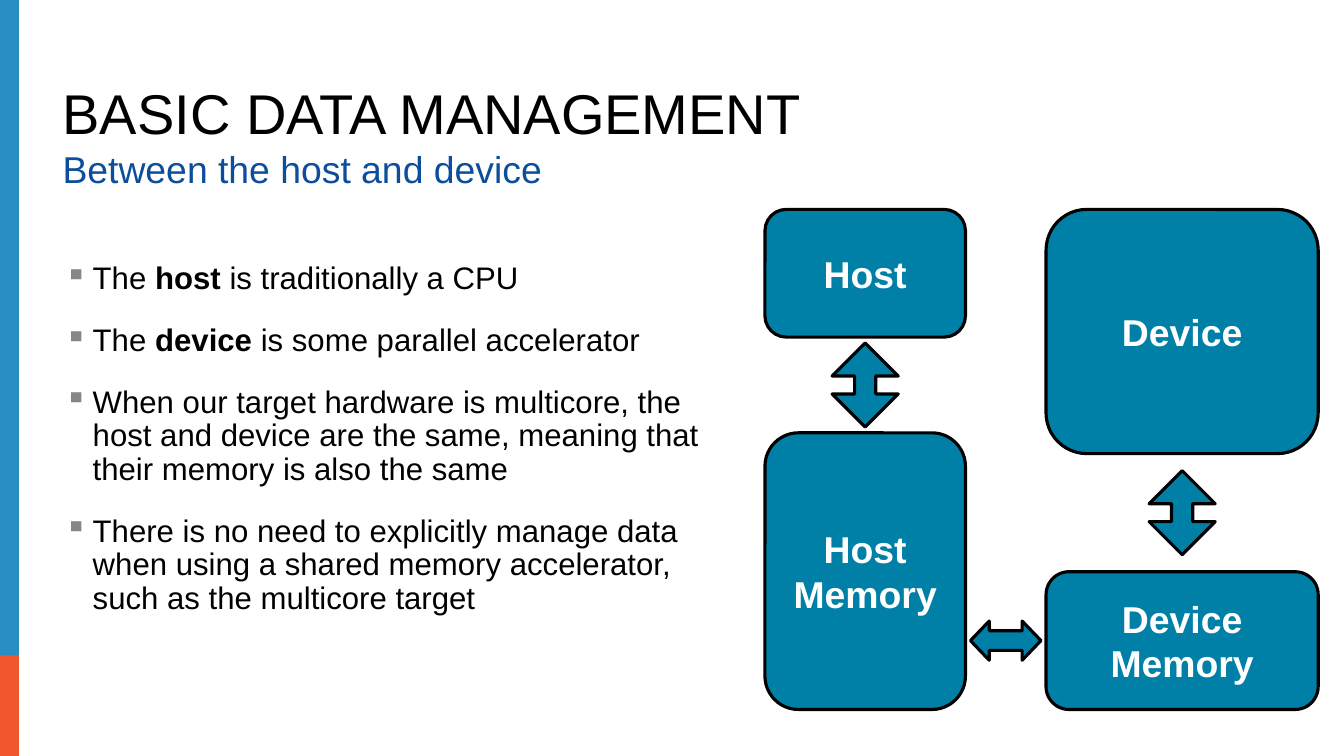
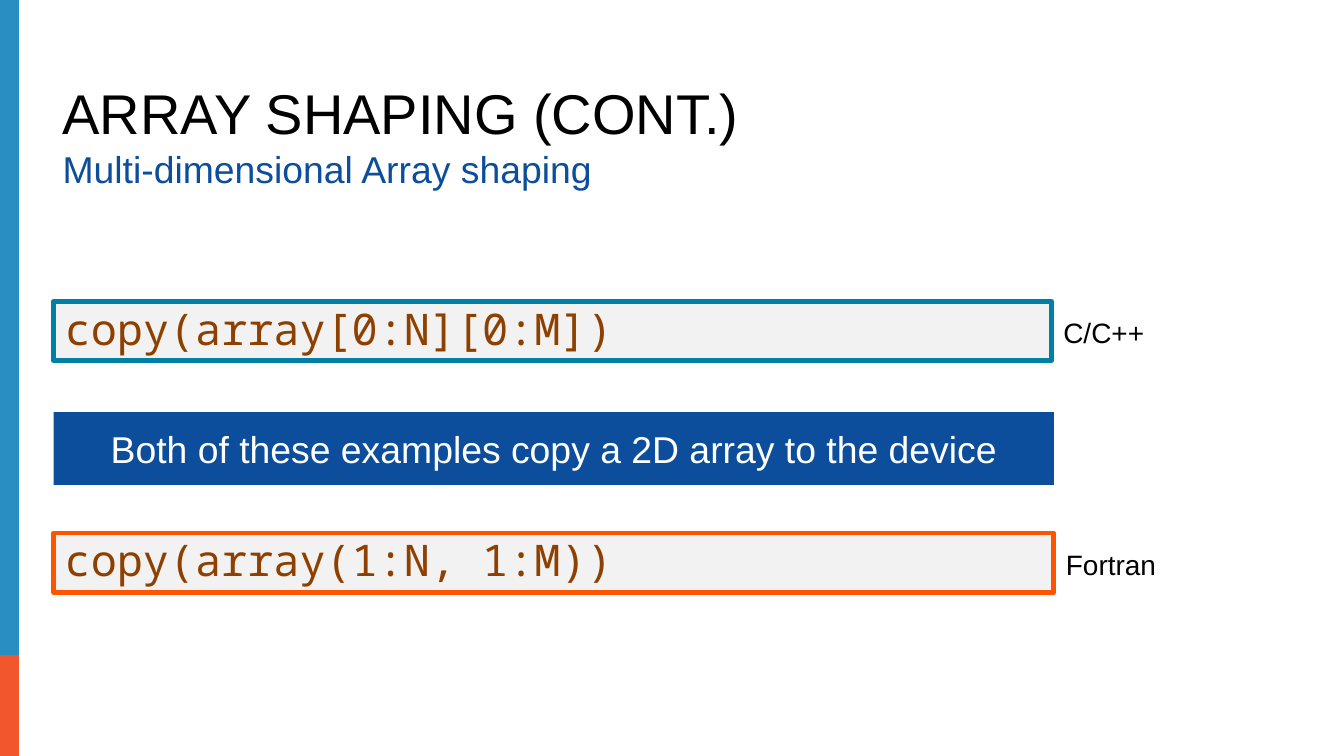
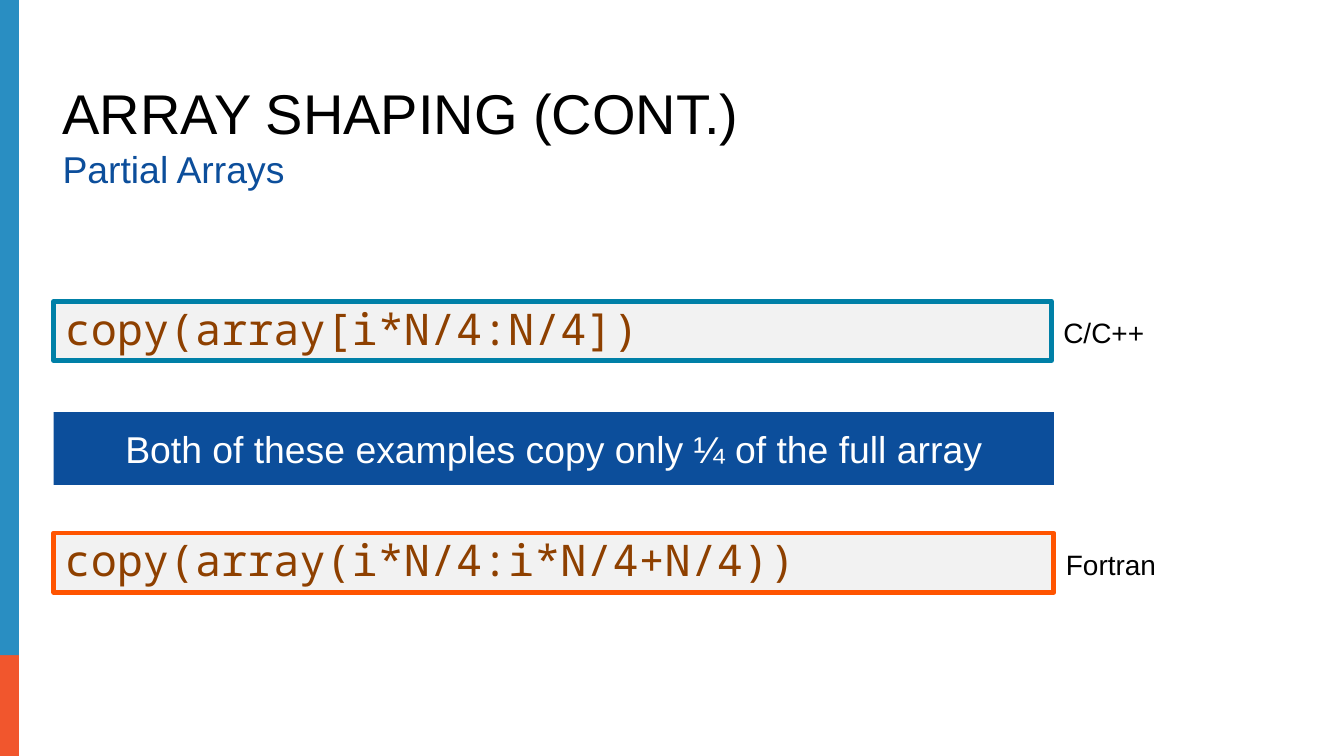
from lxml import etree
from pptx import Presentation
from pptx import util as u
from pptx.dml.color import RGBColor
from pptx.enum import shapes, text
from pptx.oxml.ns import qn

COLOURS = {
    "black": "000000", "white": "FFFFFF", "grey": "868686", "pale": "F2F2F2",
    "stripe": "298EC2", "stripe_end": "F1562D", "navy": "0C4E9B",
    "teal": "0080A7", "orange": "FF5400", "code": "8E4000",
}
SHAPE = shapes.MSO_SHAPE
ANCHOR = text.MSO_ANCHOR
ALIGN = text.PP_ALIGN
FIT = text.MSO_AUTO_SIZE
COLUMNS, ROWS = 48, 27
MARGIN = 1.92


def colour(name):
    """Return the named colour."""
    return RGBColor.from_string(COLOURS[name])


class Deck:
    """Hold the shared style and the current slide."""

    def __init__(self):
        """Start an empty deck with a grid of columns and rows."""
        self.file = Presentation()
        self.file.slide_width, self.file.slide_height = u.Inches(12), u.Inches(6.75)
        self.page = None

    def place(self, left, top, width, height):
        """Turn columns and rows into slide lengths."""
        column = self.file.slide_width / COLUMNS
        row = self.file.slide_height / ROWS
        return [round(n) for n in (left * column, top * row, width * column, height * row)]

    def start(self, title, subtitle):
        """Add a slide with its side stripe, title and subtitle."""
        self.page = self.file.slides.add_slide(self.file.slide_layouts[5])
        self.shape(SHAPE.RECTANGLE, (0, 20.28, 0.68, 6.72), "stripe_end")
        self.shape(SHAPE.RECTANGLE, (0, 0, 0.68, 23.4), "stripe")
        box = self.page.shapes.title
        box.left, box.top, box.width, box.height = self.place(1.84, 2.84, 43.64, 2.6)
        self.fill_text(box, title, 36, "black", anchor=ANCHOR.BOTTOM, spacing=0.9)
        self.label((1.84, 5.2, 43.64, 2.28), subtitle, 24, "navy")

    def fill_text(self, box, words, size, ink, font="Arial", bold=False, align=ALIGN.LEFT,
                  anchor=ANCHOR.MIDDLE, spacing=1.0, wrap=True, fit=FIT.NONE):
        """Put one styled paragraph into a box."""
        frame = box.text_frame
        frame.word_wrap, frame.auto_size, frame.vertical_anchor = wrap, fit, anchor
        para = frame.paragraphs[0]
        para.text, para.alignment, para.line_spacing = words, align, spacing
        self.style(para, size, ink, font, bold)

    def style(self, para, size, ink, font="Arial", bold=None):
        """Set the font of a paragraph."""
        para.font.name, para.font.size, para.font.bold = font, u.Pt(size), bold
        para.font.color.rgb = colour(ink)

    def shape(self, kind, area, fill, line=None, weight=2):
        """Add a flat preset shape."""
        shape = self.page.shapes.add_shape(kind, *self.place(*area))
        shape.shadow.inherit = False
        shape.fill.solid()
        shape.fill.fore_color.rgb = colour(fill)
        if line:
            shape.line.color.rgb = colour(line)
            shape.line.width = u.Pt(weight)
        else:
            shape.line.fill.background()
        return shape

    def label(self, area, words, size, ink, anchor=ANCHOR.TOP, **options):
        """Add a line of free text."""
        box = self.page.shapes.add_textbox(*self.place(*area))
        self.fill_text(box, words, size, ink, anchor=anchor, spacing=0.9, **options)

    def bullets(self, area, items):
        """Add a bulleted list whose items pair (words, bold) spans."""
        frame = self.page.shapes.add_textbox(*self.place(*area)).text_frame
        frame.word_wrap = True
        for index, item in enumerate(items):
            para = frame.add_paragraph() if index else frame.paragraphs[0]
            properties = para._p.get_or_add_pPr()
            properties.set("marL", str(u.Inches(0.25)))
            properties.set("indent", str(-u.Inches(0.25)))
            tint = etree.SubElement(properties, qn("a:buClr"))
            etree.SubElement(tint, qn("a:srgbClr"), val=COLOURS["grey"])
            etree.SubElement(properties, qn("a:buChar"), char="▪")
            para.line_spacing, para.space_after = 0.9, u.Pt(9)
            para.space_before = u.Pt(9 if index else 0)
            self.style(para, 20, "black")
            for words, bold in item:
                span = para.add_run()
                span.text, span.font.bold = words, bold

    def block(self, area, words):
        """Add a rounded block of the diagram."""
        shape = self.shape(SHAPE.ROUNDED_RECTANGLE, area, "teal", "black")
        self.fill_text(shape, words, 24, "white", bold=True, align=ALIGN.CENTER)

    def arrow(self, kind, centre, size, head):
        """Add a double arrow around a centre point."""
        (x, y), (width, height) = centre, size
        area = (x - width / 2, y - height / 2, width, height)
        arrow = self.shape(kind, area, "teal", "black")
        arrow.adjustments[1] = head

    def code(self, top, width, words, line, language, label_width):
        """Add a framed line of code with its language beside it."""
        shape = self.shape(SHAPE.RECTANGLE, (MARGIN, top, width, 2.12), "pale", line, 3)
        self.fill_text(shape, words, 28, "code", font="Noto Sans Mono", spacing=0.9,
                       fit=FIT.SHAPE_TO_FIT_TEXT)
        self.label((MARGIN + width, top + 0.46, label_width, 1.48), language, 18, "black",
                   anchor=ANCHOR.MIDDLE, align=ALIGN.CENTER, wrap=False,
                   fit=FIT.SHAPE_TO_FIT_TEXT)

    def banner(self, words):
        """Add the banner between the two code lines."""
        shape = self.shape(SHAPE.RECTANGLE, (MARGIN, 14.72, 35.72, 2.6), "navy")
        self.fill_text(shape, words, 24, "white", align=ALIGN.CENTER)


def host_and_device(deck):
    """Build the slide on host and device memory."""
    deck.start("BASIC DATA MANAGEMENT", "Between the host and device")
    deck.bullets((MARGIN, 9.2, 24, 16.28), [
        [("The ", False), ("host", True), (" is traditionally a CPU", False)],
        [("The ", False), ("device", True), (" is some parallel accelerator", False)],
        [("When our target hardware is multicore, the host and device are the same, "
          "meaning that their memory is also the same", False)],
        [("There is no need to explicitly manage data when using a shared memory "
          "accelerator, such as the multicore target", False)],
    ])
    top, bottom = 7.48, 25.34
    stacks = [
        ("Host", 27.32, 7.16, 4.56, 9.88),
        ("Device", 37.36, 9.72, 8.72, 4.92),
    ]
    for name, left, width, unit_height, memory_height in stacks:
        memory_top = bottom - memory_height
        deck.block((left, top, width, unit_height), name)
        deck.block((left, memory_top, width, memory_height), f"{name} Memory")
        gap_middle = (top + unit_height + memory_top) / 2
        deck.arrow(SHAPE.UP_DOWN_ARROW, (left + width / 2, gap_middle), (2.36, 3), 0.32)
    (_, left, width, *_), (_, right, *_, height) = stacks
    link = ((left + width + right) / 2, bottom - height / 2)
    deck.arrow(SHAPE.LEFT_RIGHT_ARROW, link, (2.52, 1.4), 0.48)


def array_shaping(deck, subtitle, c_code, message, fortran_code):
    """Build a slide comparing C and Fortran array shapes."""
    deck.start("ARRAY SHAPING (CONT.)", subtitle)
    deck.code(10.76, 35.64, c_code, "teal", "C/C++", 3.72)
    deck.banner(message)
    deck.code(19.04, 35.72, fortran_code, "orange", "Fortran", 4.08)


def main():
    """Build and save the deck."""
    deck = Deck()
    host_and_device(deck)
    array_shaping(deck, "Multi-dimensional Array shaping", "copy(array[0:N][0:M])",
                  "Both of these examples copy a 2D array to the device",
                  "copy(array(1:N, 1:M))")
    array_shaping(deck, "Partial Arrays", "copy(array[i*N/4:N/4])",
                  "Both of these examples copy only ¼ of the full array",
                  "copy(array(i*N/4:i*N/4+N/4))")
    deck.file.save("out.pptx")


if __name__ == "__main__":
    main()
